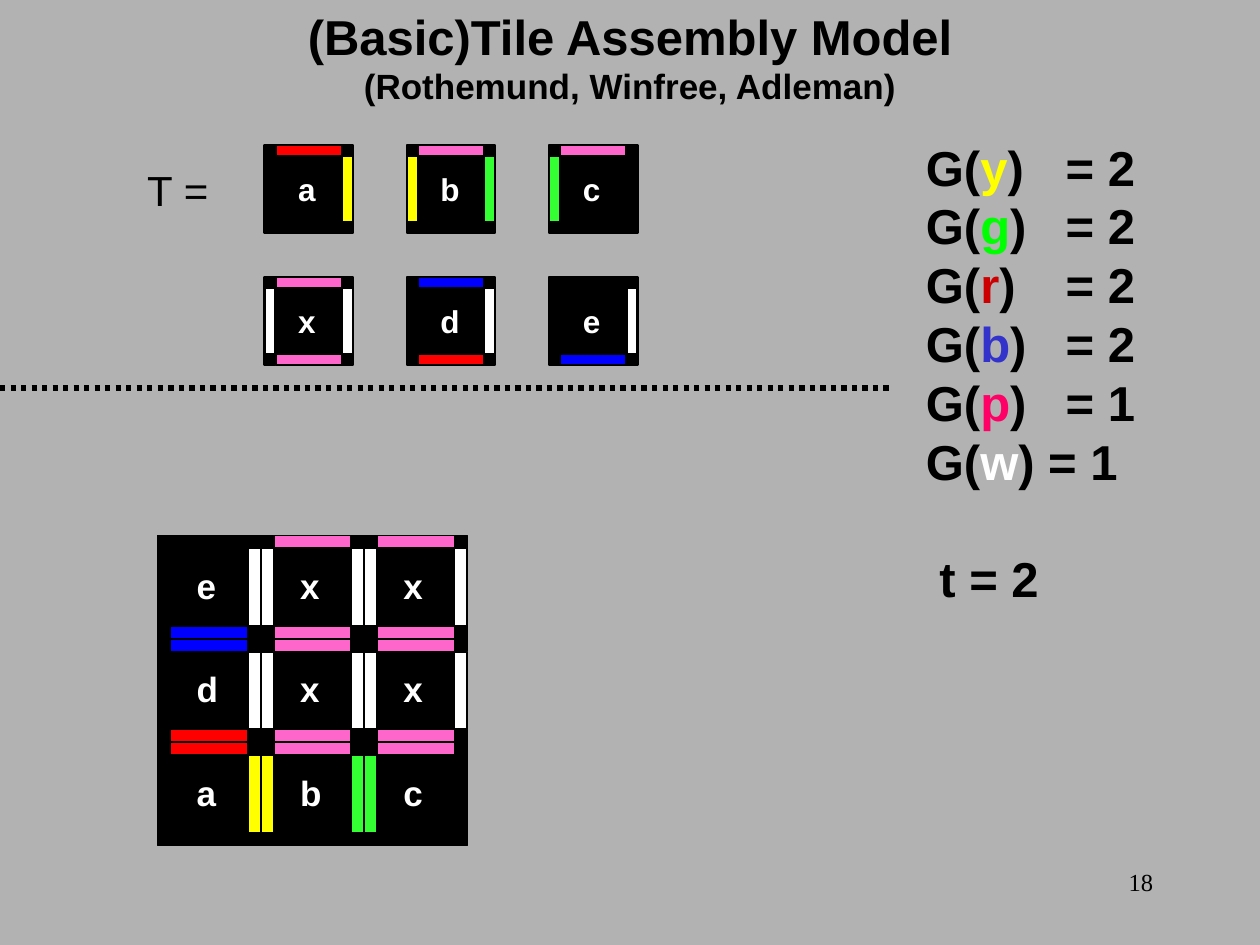
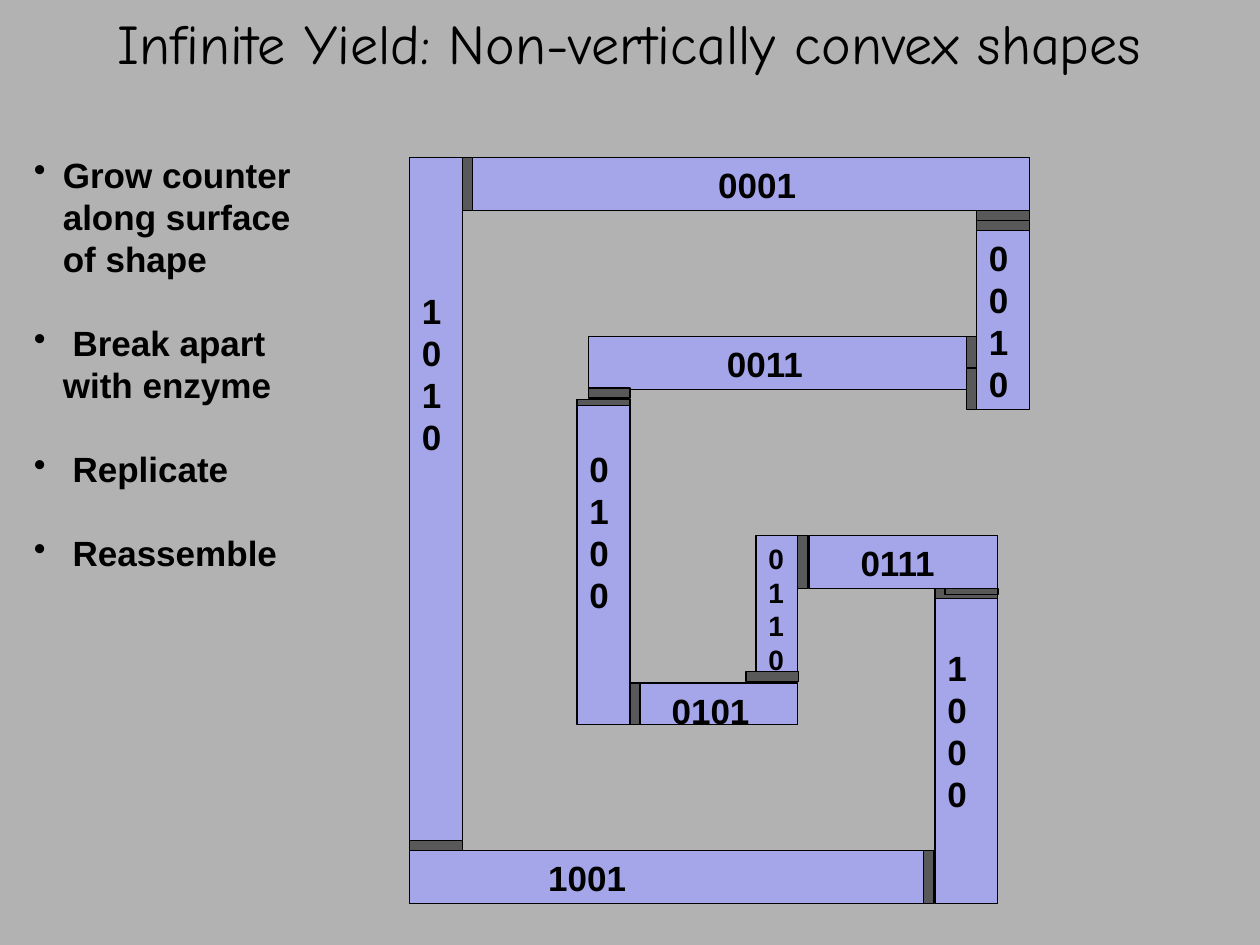
"""Build two slides on tile self-assembly: the basic model and a non-convex shape."""
from dataclasses import dataclass
from typing import Optional

from lxml import etree
from pptx import Presentation
from pptx.dml.color import RGBColor
from pptx.enum.dml import MSO_LINE
from pptx.enum.shapes import MSO_CONNECTOR, MSO_SHAPE
from pptx.enum.text import MSO_ANCHOR, PP_ALIGN
from pptx.oxml import parse_xml
from pptx.oxml.ns import nsdecls, qn
from pptx.util import Inches, Pt


@dataclass(frozen=True)
class Style:
    size: int
    font: str = "Arial"
    bold: bool = True
    leading: Optional[float] = 1.2


@dataclass(frozen=True)
class Theme:
    background: str = "B2B2B2"
    ink: str = "000000"
    white: str = "FFFFFF"
    strand: str = "A5A5E9"
    joint: str = "595959"
    heading: Style = Style(28)
    subheading: Style = Style(20)
    body: Style = Style(20)
    small: Style = Style(16)
    tile_letter: Style = Style(18)
    tile_set: Style = Style(24, bold=False)
    hand_title: Style = Style(32, "Comic Neue", False, None)
    page_number: Style = Style(14, "Times New Roman", False, None)


theme = Theme()


def write(frame, lines, style, color=theme.ink, align=PP_ALIGN.LEFT,
          inset=(0.1, 0.05, 0.1, 0.05), wrap=True, marks=(), indent=0):
    frame.word_wrap = wrap
    frame.vertical_anchor = MSO_ANCHOR.TOP
    frame.margin_left, frame.margin_top, frame.margin_right, frame.margin_bottom = map(Inches, inset)
    for number, line in enumerate(lines):
        paragraph = frame.add_paragraph() if number else frame.paragraphs[0]
        paragraph.text = line
        paragraph.alignment = align
        properties = paragraph._p.get_or_add_pPr()
        if indent:
            properties.set("marL", str(Inches(indent)))
            properties.set("indent", str(-Inches(indent)))
        for mark in marks:
            properties.append(parse_xml(mark))
        if style.leading:
            paragraph.line_spacing = Pt(style.size * style.leading)
        paragraph.font.name = style.font
        paragraph.font.size = Pt(style.size)
        paragraph.font.bold = style.bold
        paragraph.font.color.rgb = RGBColor.from_string(color)
    return frame.paragraphs


def add_block(slide, box, fill, line_width=0.75):
    block = slide.shapes.add_shape(MSO_SHAPE.RECTANGLE, *map(Inches, box))
    block.shadow.inherit = False
    block.fill.solid()
    block.fill.fore_color.rgb = RGBColor.from_string(fill)
    block.line.color.rgb = RGBColor.from_string(theme.ink)
    block.line.width = Pt(line_width)
    return block


deck = Presentation()
deck.slide_width, deck.slide_height = Inches(10), Inches(7.5)
deck.slide_master.background.fill.solid()
deck.slide_master.background.fill.fore_color.rgb = RGBColor.from_string(theme.background)
model = deck.slides.add_slide(deck.slide_layouts[6])
convex = deck.slides.add_slide(deck.slide_layouts[6])

outlines = [
    (model, 0, 3.08, 7.08, 3.08, 3, MSO_LINE.ROUND_DOT),
    (convex, 3.67, 1.67, 3.67, 6.67, 0.75, None),
    (convex, 3.75, 1.67, 7.75, 1.67, 0.75, None),
    (convex, 7.75, 1.83, 7.75, 2.83, 0.75, None),
    (convex, 7.67, 2.67, 4.67, 2.67, 0.75, None),
    (convex, 6.42, 4.67, 7.42, 4.67, 0.75, None),
    (convex, 7.33, 6.75, 3.67, 6.75, 0.75, None),
]
for slide, x1, y1, x2, y2, width, dash in outlines:
    outline = slide.shapes.add_connector(MSO_CONNECTOR.STRAIGHT, *map(Inches, (x1, y1, x2, y2)))
    outline.line.color.rgb = RGBColor.from_string(theme.ink)
    outline.line.width = Pt(width)
    if dash:
        outline.line.dash_style = dash
    etree.SubElement(outline._element.spPr, qn("a:effectLst"))

page_number = model.shapes.add_textbox(Inches(7.17), Inches(6.83), Inches(2.08), Inches(0.5))
write(page_number.text_frame, ["18"], theme.page_number, align=PP_ALIGN.RIGHT)
tile_set = model.shapes.add_textbox(Inches(1.07), Inches(1.26), Inches(0.88), Inches(0.5))
write(tile_set.text_frame, ["T ="], theme.tile_set, wrap=False)

strengths = [
    ("y", "FFFF00", ")\t= 2"),
    ("g", "00FF00", ")\t= 2"),
    ("r", "CC0000", ")\t= 2"),
    ("b", "3333CC", ")\t= 2"),
    ("p", "FF0066", ")\t= 1"),
    ("w", "FFFFFF", ") = 1"),
]
glue_function = model.shapes.add_textbox(Inches(7.25), Inches(1.04), Inches(2.08), Inches(3.84))
equals_stop = f'<a:tabLst {nsdecls("a")}><a:tab pos="{Inches(1.11)}" algn="l"/></a:tabLst>'
equations = write(glue_function.text_frame, ["G("] * len(strengths) + [" t = 2"],
                  theme.heading, marks=[equals_stop])
for equation, (symbol, color, value) in zip(equations, strengths):
    glue = equation.add_run()
    glue.text = symbol
    glue.font.color.rgb = RGBColor.from_string(color)
    equation.add_run().text = value
equations[-1].space_before = Pt(theme.heading.size * theme.heading.leading)

glue_colors = {"r": "FF0000", "y": "FFFF00", "p": "FF66CC", "g": "33FF33", "b": "0000FF", "w": "FFFFFF"}
tile_glues = {
    "a": {"north": "r", "east": "y"},
    "b": {"north": "p", "east": "g", "west": "y"},
    "c": {"north": "p", "west": "g"},
    "d": {"north": "b", "east": "w", "south": "r"},
    "e": {"east": "w", "south": "b"},
    "x": {"north": "p", "east": "w", "south": "p", "west": "w"},
}
layouts = [
    (["abc", "xde"], 2.1, 1.15, 1.13, 1.05, 0.7, 1.25, theme.tile_letter),
    (["exx", "dxx", "abc"], 1.25, 4.25, 0.82, 0.82, 0.82, 1, theme.body),
]
for rows, left, top, pitch_x, pitch_y, side, border, style in layouts:
    edge, span = side / 8, side * 3 / 4
    for row, letters in enumerate(rows):
        for column, letter in enumerate(letters):
            x, y = left + column * pitch_x, top + row * pitch_y
            glue_boxes = {
                "north": (x + edge, y, span, edge),
                "east": (x + side - edge, y + edge, edge, span),
                "south": (x + edge, y + side - edge, span, edge),
                "west": (x, y + edge, edge, span),
            }
            add_block(model, (x, y, side, side), theme.ink, border)
            for direction, glue in tile_glues[letter].items():
                add_block(model, glue_boxes[direction], glue_colors[glue], border)
            label = model.shapes.add_textbox(
                Inches(x + 0.38 * side), Inches(y + 0.28 * side), Inches(0.2), Inches(0.33))
            write(label.text_frame, [letter], style, theme.white, inset=(0, 0, 0, 0), wrap=False)

model_title = model.shapes.add_textbox(0, 0, Inches(10), Inches(1.37))
heading, authors = write(model_title.text_frame,
                         ["(Basic)Tile Assembly Model", "(Rothemund, Winfree, Adleman)"],
                         theme.heading, align=PP_ALIGN.CENTER)
authors.font.size = Pt(theme.subheading.size)
authors.line_spacing = Pt(theme.subheading.size * theme.subheading.leading)

strands = [
    ("0001", (3.75, 1.25, 4.42, 0.42), 1.95, 0.05, theme.body),
    ("0010", (7.75, 1.83, 0.42, 1.42), 0.1, 0.05, theme.body),
    ("0011", (4.67, 2.67, 3, 0.42), 1.1, 0.05, theme.body),
    ("0100", (4.58, 3.17, 0.42, 2.58), 0.1, 0.38, theme.body),
    ("0101", (5.08, 5.42, 1.25, 0.33), 0.25, 0.05, theme.body),
    ("0110", (6, 4.25, 0.33, 1.08), 0.1, 0.05, theme.small),
    ("0111", (6.42, 4.25, 1.5, 0.42), 0.41, 0.05, theme.body),
    ("1000", (7.42, 4.75, 0.5, 2.42), 0.1, 0.38, theme.body),
    ("1001", (3.25, 6.75, 4.08, 0.42), 1.1, 0.05, theme.body),
    ("1010", (3.25, 1.25, 0.42, 5.42), 0.1, 1.05, theme.body),
]
for count, box, inset_left, inset_top, style in strands:
    strand = add_block(convex, box, theme.strand)
    write(strand.text_frame, [count], style, inset=(inset_left, inset_top, 0.1, 0.05))

steps = ["Grow counter along surface of shape", " Break apart with enzyme", " Replicate", " Reassemble"]
procedure = convex.shapes.add_textbox(Inches(0.17), Inches(1.17), Inches(2.42), Inches(4.14))
bullet = f'<a:buChar {nsdecls("a")} char="•"/>'
step_lines = write(procedure.text_frame, steps, theme.body, marks=[bullet], indent=0.23)
for step in step_lines[1:]:
    step.space_before = Pt(theme.body.size * theme.body.leading)

joints = [
    (3.25, 6.67, 0.42, 0.08),
    (5, 5.42, 0.08, 0.33),
    (6, 5.33, 0.33, 0.08),
    (5.92, 5.33, 0.42, 0.08),
    (7.33, 6.75, 0.08, 0.33),
    (7.33, 6.75, 0.08, 0.42),
    (7.42, 4.67, 0.5, 0.08),
    (7.5, 4.67, 0.42, 0.05),
    (6.33, 4.25, 0.08, 0.33),
    (6.33, 4.25, 0.08, 0.42),
    (4.67, 3.08, 0.33, 0.08),
    (4.58, 3.17, 0.42, 0.05),
    (7.67, 2.67, 0.08, 0.42),
    (7.67, 2.92, 0.08, 0.33),
    (7.75, 1.67, 0.42, 0.08),
    (7.75, 1.75, 0.42, 0.08),
    (3.67, 1.25, 0.08, 0.42),
]
for box in joints:
    add_block(convex, box, theme.joint)

convex_title = convex.shapes.add_textbox(0, 0, Inches(10), Inches(0.67))
write(convex_title.text_frame, ["Infinite Yield: Non-vertically convex shapes"],
      theme.hand_title, align=PP_ALIGN.CENTER)
convex_title.text_frame.vertical_anchor = MSO_ANCHOR.MIDDLE

deck.save("out.pptx")
